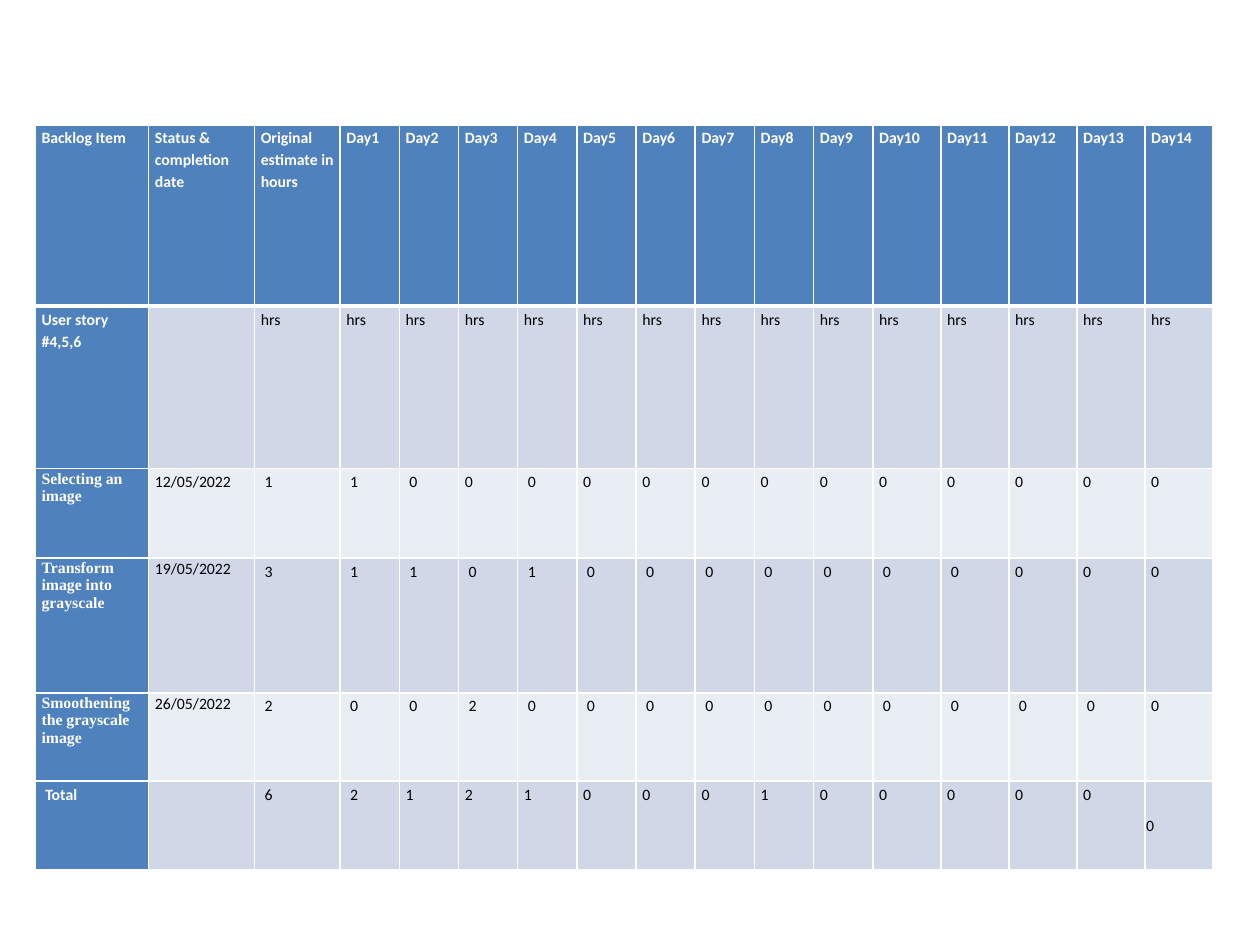
from lxml import etree
from pptx import Presentation
from pptx.dml.color import RGBColor
from pptx.enum.text import MSO_ANCHOR
from pptx.oxml.ns import qn
from pptx.util import Inches, Pt

COLORS = {
    "header": "4F81BD",
    "band_dark": "D0D8E8",
    "band_light": "E9EDF4",
    "white": "FFFFFF",
    "black": "000000",
}

COLUMN_WIDTHS = [0.9, 0.84, 0.68] + [0.47] * 9 + [0.54] * 5
ROW_HEIGHTS = [1.44, 1.29, 0.71, 1.07, 0.7, 0.7]
DAYS = 14

ROWS = [
    ["Backlog Item", "Status & completion date", "Original estimate in hours"]
    + [f"Day{day}" for day in range(1, DAYS + 1)],
    ["User story #4,5,6", ""] + ["hrs"] * (DAYS + 1),
    ["Selecting an image", "12/05/2022", *"110000000000000"],
    ["Transform image into grayscale", "19/05/2022", *"311010000000000"],
    ["Smoothening the grayscale image", "26/05/2022", *"200200000000000"],
    ["Total", "", *"621210001000000"],
]
TASK_ROWS = (2, 3, 4)
SINGLE_SPACED_DATES = {(3, 1), (4, 1)}
LAST_TOTAL = (len(ROWS) - 1, len(COLUMN_WIDTHS) - 1)

# Columns, by row, whose text sits slightly further in
INDENTED = {2: {2, 3, 4, 6}, 3: set(range(2, 14)), 4: set(range(2, 16)), 5: {0, 2, 3}}


def color(name):
    return RGBColor.from_string(COLORS[name])


def set_border(cell, side, width):
    line = etree.SubElement(cell._tc.get_or_add_tcPr(), qn(f"a:ln{side}"), w=str(Pt(width)))
    fill = etree.SubElement(line, qn("a:solidFill"))
    etree.SubElement(fill, qn("a:srgbClr"), val=COLORS["white"])


def style_cell(cell, row, column):
    # Borders, with a heavy rule below the header
    heavy_side = {0: "B", 1: "T"}.get(row)
    for side in "LRTB":
        set_border(cell, side, 3 if side == heavy_side else 1)

    # Fill
    is_heading = row == 0 or column == 0
    band = "band_dark" if row % 2 else "band_light"
    if row == len(ROWS) - 1:
        band = "band_dark"
    cell.fill.solid()
    cell.fill.fore_color.rgb = color("header" if is_heading else band)

    # Margins
    cell.margin_left = Inches(0.08 if column in INDENTED.get(row, ()) else 0.05)
    cell.margin_right = Inches(0.05)
    cell.margin_top = Inches(0.01)
    cell.margin_bottom = 0
    if (row, column) == LAST_TOTAL:
        cell.vertical_anchor = MSO_ANCHOR.MIDDLE
        cell.margin_left = cell.margin_right = cell.margin_bottom = Inches(0.01)

    # Text
    is_task = column == 0 and row in TASK_ROWS
    para = cell.text_frame.paragraphs[0]
    if not is_task and (row, column) not in SINGLE_SPACED_DATES:
        para.line_spacing = 1.15
        para.space_after = Pt(10)
    for span in para.runs:
        span.font.size = Pt(9)
        span.font.name = "Times New Roman" if is_task else "Calibri"
        span.font.bold = is_heading
        span.font.color.rgb = color("white" if is_heading else "black")


def add_backlog_table(page, left, top, width, height):
    table = page.shapes.add_table(
        len(ROWS), len(COLUMN_WIDTHS), left, top, width, height
    ).table
    for column, column_width in zip(table.columns, COLUMN_WIDTHS):
        column.width = Inches(column_width)
    for row, row_height in zip(table.rows, ROW_HEIGHTS):
        row.height = Inches(row_height)
    for row, texts in enumerate(ROWS):
        for column, text in enumerate(texts):
            cell = table.cell(row, column)
            cell.text_frame.text = text
            style_cell(cell, row, column)


def main():
    deck = Presentation()
    deck.slide_width = Inches(10)
    deck.slide_height = Inches(7.5)
    page = deck.slides.add_slide(deck.slide_layouts[6])
    add_backlog_table(page, Inches(0.28), Inches(0.99), Inches(9.37), Inches(5.91))
    deck.save("out.pptx")


if __name__ == "__main__":
    main()
